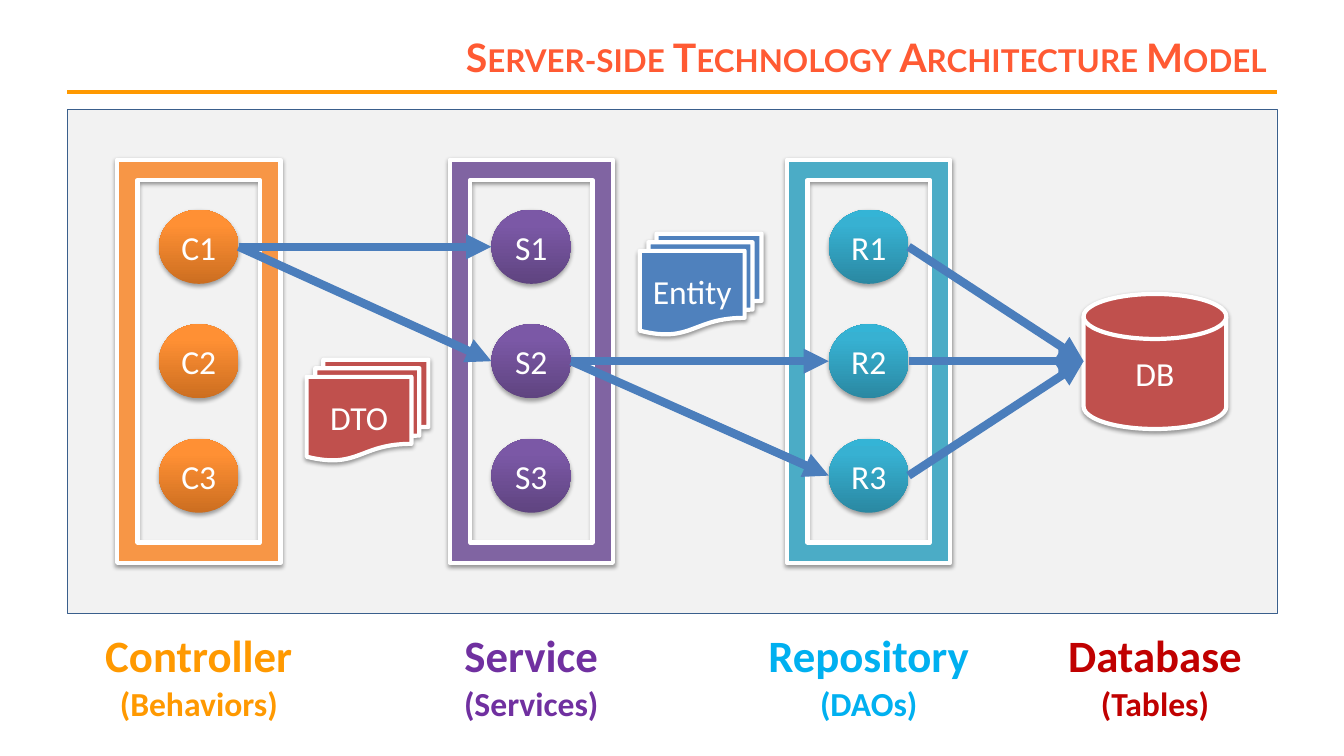
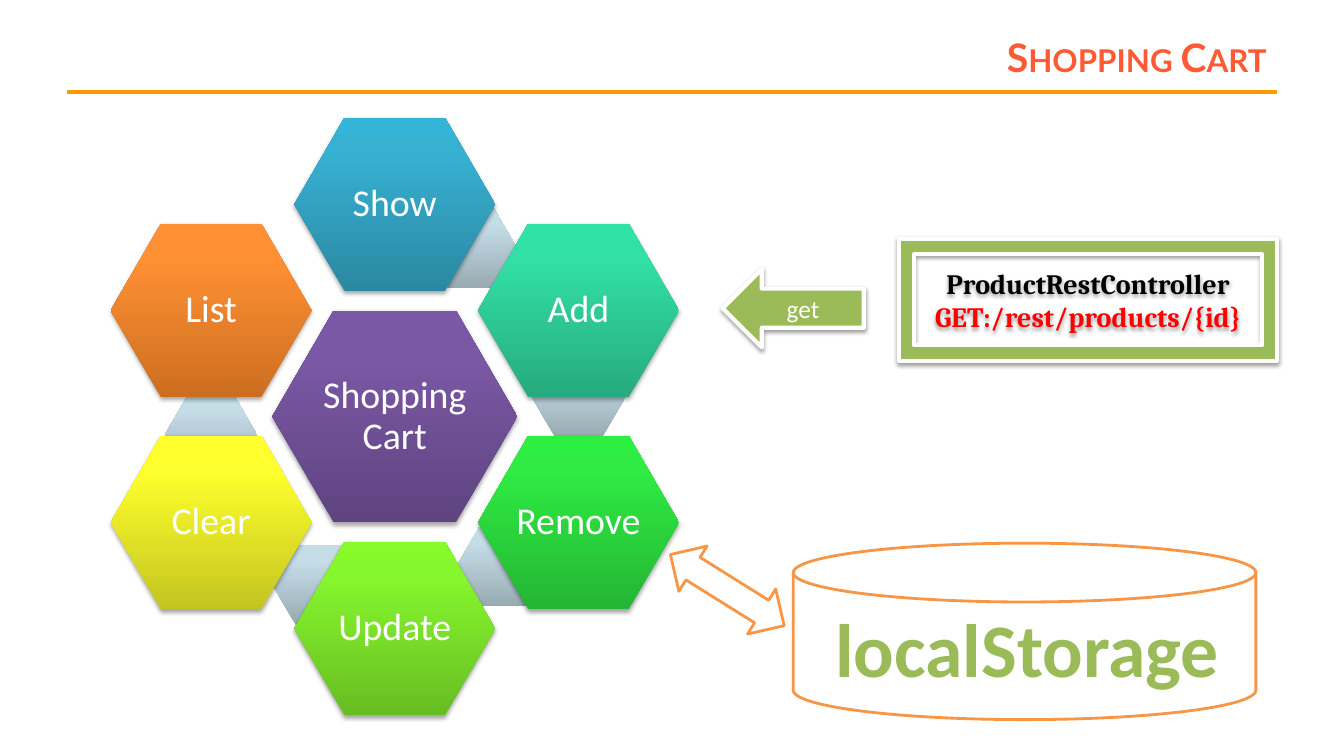
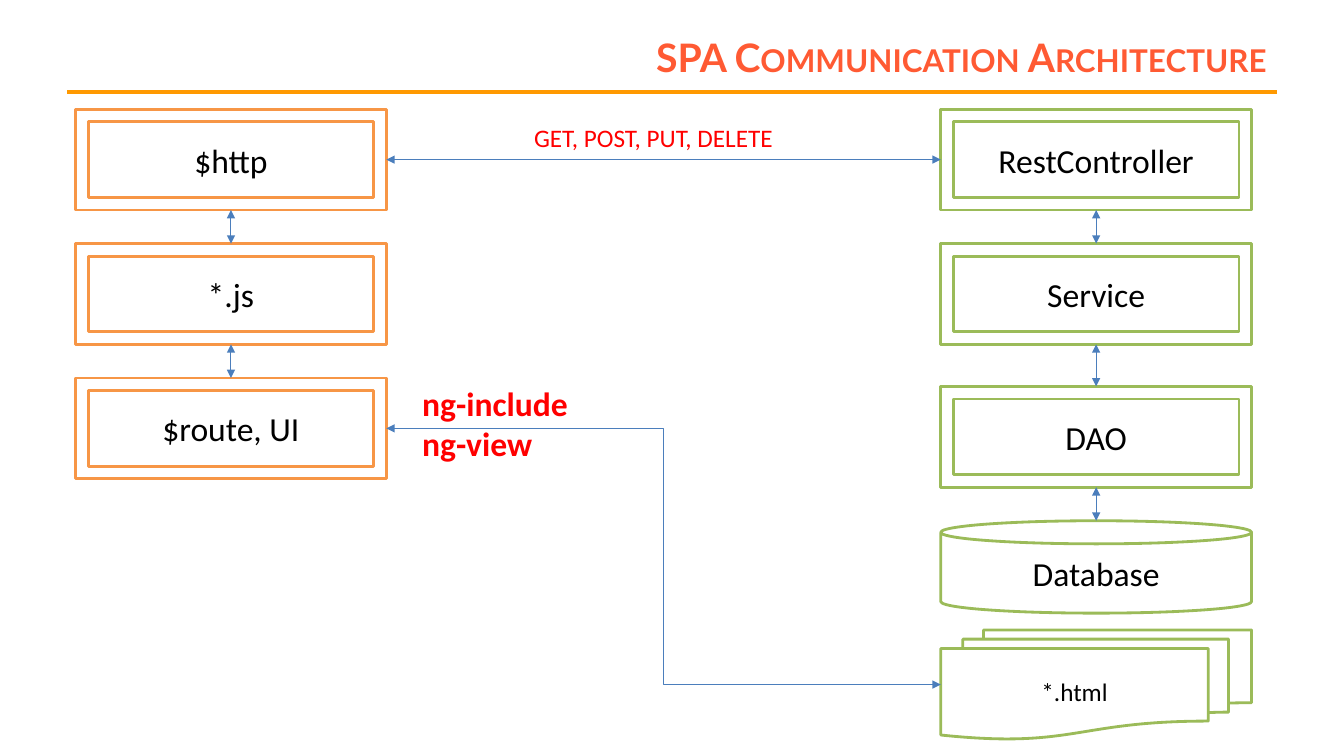
import math
from dataclasses import dataclass
from typing import NamedTuple, Optional, Union

from lxml import etree
from copy import deepcopy
from pptx import Presentation
from pptx import util as u
from pptx.dml.color import RGBColor
from pptx.enum import shapes, text
from pptx.oxml.ns import qn

Pt = u.Pt
Kind = shapes.MSO_SHAPE
Align = text.PP_ALIGN

# Shared colours
WHITE, BLACK, RED = "FFFFFF", "000000", "FF0000"
TITLE_COLOUR, RULE_COLOUR = "FF5A33", "FF9900"
ORANGE, PURPLE, TEAL = "F79646", "8064A2", "4BACC6"
GREEN, BLUE, BRICK = "9BBB59", "4F81BD", "C0504D"
ARROW_COLOUR = "4B7EBC"

# Gradients from bottom to top
GRADIENT_STOPS = (0, 0.8, 1)
ORANGE_GLOW = ("CC6E20", "FF9034", "FF9136")
PURPLE_GLOW = ("5F4480", "7B58A6", "7C57A8")
TEAL_GLOW = ("2A88A2", "37B1D2", "34B4D6")
MINT_GLOW = ("27AB7E", "32DFA4", "2FE3A6")
GREEN_GLOW = ("24B534", "2FEB43", "2CEF41")
LIME_GLOW = ("67BD22", "86F62D", "86FB29")
YELLOW_GLOW = ("C4C521", "FEFF2C", "FEFF2D")
GREY_GLOW = ("98AAB2", "C5DDE7", "C6DEE9")


class Box(NamedTuple):
    left: float
    top: float
    width: float
    height: float


class Shadow(NamedTuple):
    opacity: int
    distance: float


@dataclass(frozen=True)
class Look:
    fill: Union[str, tuple]
    line: Optional[str] = None
    weight: float = 0
    shadow: Optional[Shadow] = None


@dataclass(frozen=True)
class Font:
    size: float
    colour: str
    bold: bool = False
    name: str = "Calibri"


def rgb(colour: str) -> RGBColor:
    return RGBColor.from_string(colour)


def centred(x: float, y: float, width: float, height: float) -> Box:
    return Box(x - width / 2, y - height / 2, width, height)


def framed(fill: str) -> Look:
    return Look(fill, WHITE, 3, Shadow(38, 1.6))


def glowing(colours: tuple) -> Look:
    return Look(colours, shadow=Shadow(35, 1.8))


def outlined(line: str) -> Look:
    return Look(WHITE, line, 2)


# Drawing helpers
def fill_gradient(shape, colours: tuple) -> None:
    shape.fill.gradient()
    shape.fill.gradient_angle = 90
    stop_list = shape._element.spPr.find(".//" + qn("a:gsLst"))
    stop_list.append(deepcopy(stop_list[-1]))
    for stop, position, colour in zip(shape.fill.gradient_stops, GRADIENT_STOPS, colours):
        stop.position = position
        stop.color.rgb = rgb(colour)


def cast_shadow(shape, shadow: Shadow) -> None:
    effects = shape._element.spPr.find(qn("a:effectLst"))
    outer = etree.SubElement(effects, qn("a:outerShdw"), blurRad=str(int(Pt(3.1))),
                             dist=str(int(Pt(shadow.distance))), dir="5400000", rotWithShape="0")
    colour = etree.SubElement(outer, qn("a:srgbClr"), val=BLACK)
    etree.SubElement(colour, qn("a:alpha"), val=str(shadow.opacity * 1000))


def write(shape, words: str, font: Font, align=Align.CENTER) -> None:
    shape.text_frame.text = words
    for para in shape.text_frame.paragraphs:
        para.alignment = align
        for span in para.runs:
            span.font.name = font.name
            span.font.size = Pt(font.size)
            span.font.bold = font.bold
            span.font.color.rgb = rgb(font.colour)


def draw(page, kind, box: Box, look: Look, words: str = "", font: Optional[Font] = None):
    shape = page.shapes.add_shape(kind, *map(Pt, box))
    shape.shadow.inherit = False
    if isinstance(look.fill, str):
        shape.fill.solid()
        shape.fill.fore_color.rgb = rgb(look.fill)
    else:
        fill_gradient(shape, look.fill)
    if look.line:
        shape.line.color.rgb = rgb(look.line)
        shape.line.width = Pt(look.weight)
    else:
        shape.line.fill.background()
    if look.shadow:
        cast_shadow(shape, look.shadow)
    if font:
        write(shape, words, font)
    return shape


def label(page, box: Box, words: str, font: Font, align=Align.CENTER):
    shape = page.shapes.add_textbox(*map(Pt, box))
    shape.text_frame.word_wrap = False
    shape.text_frame.auto_size = text.MSO_AUTO_SIZE.SHAPE_TO_FIT_TEXT
    write(shape, words, font, align)
    return shape


def connect(page, start: tuple, end: tuple, colour: str = ARROW_COLOUR, weight: float = 0.75,
            heads: tuple = ("headEnd", "tailEnd"), kind=shapes.MSO_CONNECTOR.STRAIGHT):
    link = page.shapes.add_connector(kind, *map(Pt, start + end))
    link.line.color.rgb = rgb(colour)
    link.line.width = Pt(weight)
    for head in heads:
        etree.SubElement(link.line._get_or_add_ln(), qn("a:" + head), type="triangle")
    etree.SubElement(link._element.spPr, qn("a:effectLst"))
    return link


def new_page(deck, title: str):
    page = deck.slides.add_slide(deck.slide_layouts[6])
    connect(page, (48, 66), (912, 66), RULE_COLOUR, 3, heads=())
    box = page.shapes.add_textbox(Pt(176), Pt(21.6), Pt(736), Pt(38.4))
    box.text_frame.word_wrap = True
    box.text_frame.vertical_anchor = text.MSO_ANCHOR.MIDDLE
    write(box, title, Font(28, TITLE_COLOUR, True, "Lato"), Align.RIGHT)
    box.text_frame.paragraphs[0].runs[0].font._element.set("cap", "small")
    return page


# Slide 1: layers from controller to database
class Layer(NamedTuple):
    name: str
    detail: str
    x: float
    colour: str
    name_width: float
    detail_width: float
    frame: str = ""
    glow: tuple = ()


LAYERS = (
    Layer("Controller", "(Behaviors)", 142, "FF9900", 150, 129, ORANGE, ORANGE_GLOW),
    Layer("Service", "(Services)", 379.5, "7030A0", 111, 112, PURPLE, PURPLE_GLOW),
    Layer("Repository", "(DAOs)", 620.5, "00B0F0", 159, 85, TEAL, TEAL_GLOW),
    Layer("Database", "(Tables)", 825, "C00000", 140, 93),
)


def server_page(deck) -> None:
    page = new_page(deck, "Server-side Technology Architecture Model")
    node_font = Font(24, WHITE)
    middle, row_step, node_width = 258, 81.75, 57
    draw(page, Kind.RECTANGLE, Box(48, 78, 864, 360), Look("F2F2F2", "3A5F8C", 0.25))
    sides = {}
    for layer in LAYERS:
        if layer.frame:
            column = draw(page, Kind.FRAME, centred(layer.x, middle, 288, 116.6),
                          framed(layer.frame))
            column.rotation = 270
            for row in (1, 2, 3):
                y = middle + (row - 2) * row_step
                name = f"{layer.name[0]}{row}"
                draw(page, Kind.OVAL, centred(layer.x, y, node_width, 53),
                     glowing(layer.glow), name, node_font)
                sides[name] = ((layer.x - node_width / 2, y), (layer.x + node_width / 2, y))
        label(page, Box(layer.x - layer.name_width / 2, 444.5, layer.name_width, 46),
              layer.name, Font(32, layer.colour, True))
        label(page, Box(layer.x - layer.detail_width / 2, 484.5, layer.detail_width, 36),
              layer.detail, Font(24, layer.colour, True))

    # Database and calls
    draw(page, Kind.FLOWCHART_MAGNETIC_DISK, Box(774, 210, 102, 96.5), framed(BRICK),
         "DB", node_font)
    sides["DB"] = ((774, middle), (876, middle))
    for caller, target in (("C1", "S1"), ("C1", "S2"), ("S2", "R2"), ("S2", "R3"),
                           ("R1", "DB"), ("R2", "DB"), ("R3", "DB")):
        connect(page, sides[caller][1], sides[target][0], weight=6, heads=("tailEnd",))

    # Data passed between layers
    for words, left, top, colour in (("Entity", 457, 167, BLUE), ("DTO", 219, 257, BRICK)):
        draw(page, Kind.FLOWCHART_MULTIDOCUMENT, Box(left, top, 87, 72), framed(colour),
             words, node_font)


# Slide 2: cart actions around a centre
ACTIONS = (("Show", TEAL_GLOW), ("Add", MINT_GLOW), ("Remove", GREEN_GLOW),
           ("Update", LIME_GLOW), ("Clear", YELLOW_GLOW), ("List", ORANGE_GLOW))


def around(radius: float, degrees: float) -> tuple:
    turn = math.radians(degrees)
    return 282 + radius * math.sin(turn), 297.5 - radius * math.cos(turn)


def hexagon(page, centre: tuple, width: float, height: float, look: Look, words: str = "") -> None:
    shape = draw(page, Kind.HEXAGON, centred(*centre, width, height), look,
                 words, Font(27, WHITE) if words else None)
    shape.adjustments[0] = 0.29
    frame = shape.text_frame
    frame.margin_left = frame.margin_right = frame.margin_top = frame.margin_bottom = 0
    frame.paragraphs[0].line_spacing = 0.9


def cart_page(deck) -> None:
    page = new_page(deck, "Shopping Cart")
    draw(page, Kind.FLOWCHART_MAGNETIC_DISK, Box(566.6, 388, 330.5, 126), outlined(ORANGE))
    hexagon(page, around(0, 0), 175, 151.2, glowing(PURPLE_GLOW), "Shopping Cart")
    for index, (action, glow) in enumerate(ACTIONS):
        if index < len(ACTIONS) - 1:
            hexagon(page, around(132, 24.3 + 60 * index), 66, 57, Look(GREY_GLOW))
        hexagon(page, around(151.5, 60 * index), 143.5, 124, glowing(glow), action)

    # Request to the server
    request = draw(page, Kind.FRAME, Box(642.2, 170.6, 270, 87), framed(GREEN),
                   "ProductRestController\nGET:/rest/products/{id}",
                   Font(20, BLACK, True, "Cambria"))
    request.text_frame.paragraphs[1].runs[0].font.color.rgb = rgb(RED)
    draw(page, Kind.LEFT_ARROW, Box(516.2, 192.2, 100.8, 56), framed(GREEN),
         "get", Font(18, WHITE))

    # Browser storage
    label(page, Box(588.2, 426.2, 291, 72.7), "localStorage", Font(54, GREEN, True))
    exchange = draw(page, Kind.LEFT_RIGHT_ARROW, Box(471.6, 402.5, 95.8, 38), outlined(ORANGE))
    exchange.rotation = 32


# Slide 3: client and server stacks
def stack(page, left: float, colour: str, entries: tuple) -> list:
    """Draw frames in a column, each joined to the one above."""
    frames = []
    for words, top in entries:
        frame = draw(page, Kind.FRAME, Box(left, top, 222, 72), outlined(colour),
                     words, Font(24, BLACK))
        if frames:
            link = connect(page, (left + 111, top - 24), (left + 111, top))
            link.begin_connect(frames[-1], 2)
            link.end_connect(frame, 0)
        frames.append(frame)
    return frames


def spa_page(deck) -> None:
    page = new_page(deck, "SPA Communication Architecture")
    client = stack(page, 54, ORANGE, (("$http", 78), ("*.js", 174), ("$route, UI", 270)))
    server = stack(page, 672, GREEN, (("RestController", 78), ("Service", 174), ("DAO", 276)))

    # Storage below the server stack
    draw(page, Kind.CAN, Box(672, 372, 222, 66), outlined(GREEN), "Database", Font(24, BLACK))
    connect(page, (783, 348), (783, 372)).begin_connect(server[-1], 2)
    views = draw(page, Kind.FLOWCHART_MULTIDOCUMENT, Box(672, 450, 222, 78), outlined(GREEN),
                 "*.html", Font(18, BLACK))

    # Links between client and server
    calls = connect(page, (276, 114), (672, 114))
    calls.begin_connect(client[0], 3)
    calls.end_connect(server[0], 1)
    includes = connect(page, (276, 306), (672, 489), kind=shapes.MSO_CONNECTOR.ELBOW)
    includes.begin_connect(client[-1], 3)
    includes.end_connect(views, 1)
    label(page, Box(374.4, 84, 186.5, 29), "GET, POST, PUT, DELETE", Font(18, RED), Align.LEFT)
    label(page, Box(294.5, 270, 119.5, 65.5), "ng-include\nng-view", Font(24, RED, True),
          Align.LEFT)


def main() -> None:
    deck = Presentation()
    deck.slide_width, deck.slide_height = Pt(960), Pt(540)
    server_page(deck)
    cart_page(deck)
    spa_page(deck)
    deck.save("out.pptx")


if __name__ == "__main__":
    main()
